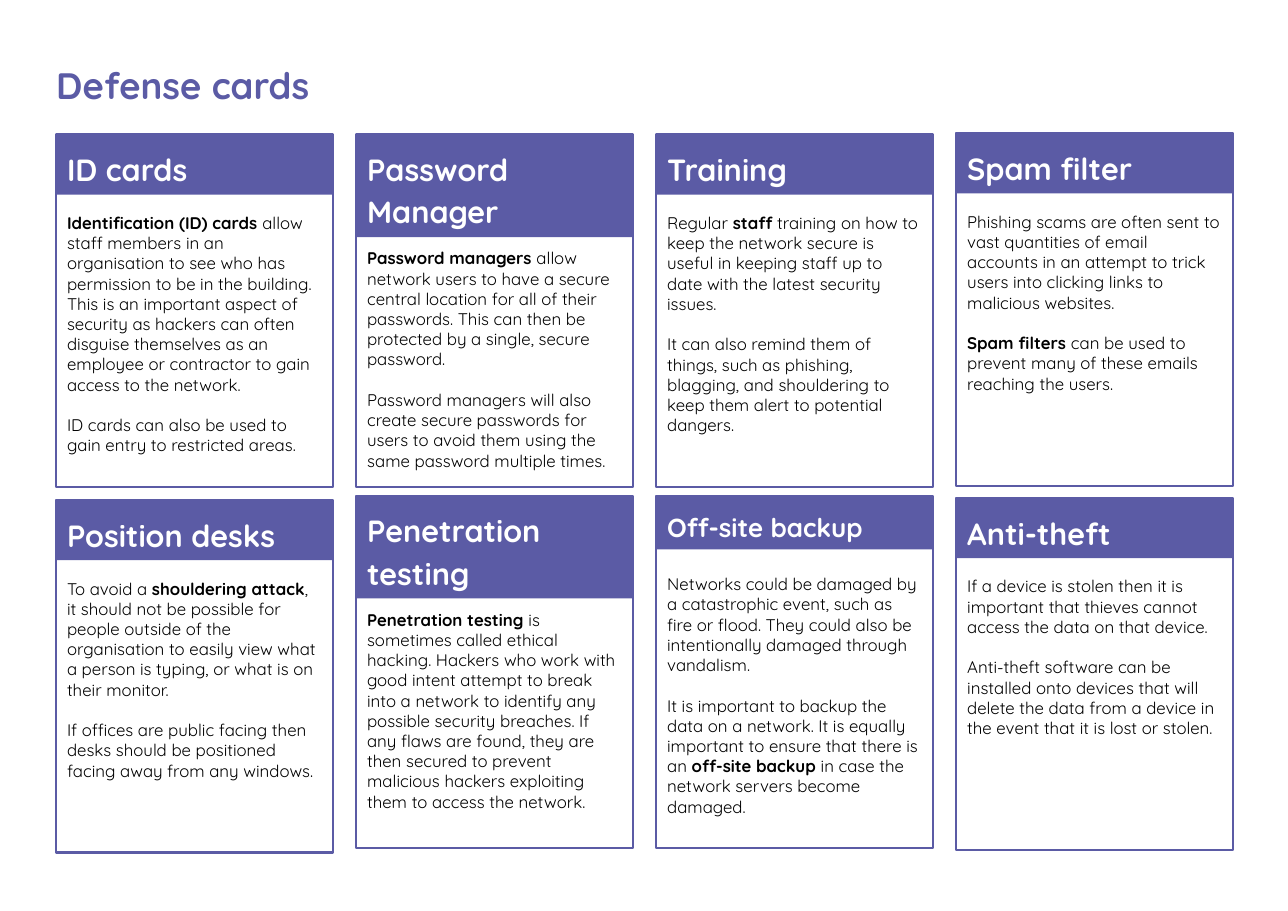
from dataclasses import dataclass

from pptx import Presentation
from pptx.dml.color import RGBColor
from pptx.enum.shapes import MSO_SHAPE
from pptx.enum.text import MSO_ANCHOR, MSO_AUTO_SIZE, PP_ALIGN
from pptx.util import Inches, Pt

PURPLE = RGBColor(0x5B, 0x5B, 0xA5)
WHITE = RGBColor(0xFF, 0xFF, 0xFF)
BLACK = RGBColor(0x00, 0x00, 0x00)
FONT = "Quicksand"

SLIDE_WIDTH, SLIDE_HEIGHT = 11.69, 8.27
GRID_LEFT, GRID_RIGHT, COLUMNS = 0.51, 11.19, 4
CARD_WIDTH, CARD_HEIGHT = 2.51, 3.2
COLUMN_PITCH = (GRID_RIGHT - GRID_LEFT - CARD_WIDTH) / (COLUMNS - 1)
INSET = 0.1
BODY_SIZE = 11
BODY_LINE = 0.185  # height of one body line, in inches
BODY_OFFSET = 0.61


@dataclass
class Card:
    """Body text marks bold with **; body_lines counts its lines as set."""
    top: float
    heading: str
    body_lines: int
    body: list
    heading_size: int = 20


CARDS = [
    Card(1.22, "ID cards", 12, [
        "**Identification (ID) cards** allow staff members in an organisation to see who has "
        "permission to be in the building. This is an important aspect of security as hackers "
        "can often disguise themselves as an employee or contractor to gain access to the network.",
        "ID cards can also be used to gain entry to restricted areas."]),
    Card(1.22, "Password\nManager", 11, [
        "**Password managers** allow network users to have a secure central location for all of "
        "their passwords. This can then be protected by a single, secure password.",
        "Password managers will also create secure passwords for users to avoid them using the "
        "same password multiple times."]),
    Card(1.22, "Training", 11, [
        "Regular **staff** training on how to keep the network secure is useful in keeping staff "
        "up to date with the latest security issues.",
        "It can also remind them of things, such as phishing, blagging, and shouldering to keep "
        "them alert to potential dangers."]),
    Card(1.21, "Spam filter", 9, [
        "Phishing scams are often sent to vast quantities of email accounts in an attempt to "
        "trick users into clicking links to malicious websites.",
        "**Spam filters **can be used to prevent many of these emails reaching the users."]),
    Card(4.54, "Position desks", 10, [
        "To avoid a **shouldering attack**, it should not be possible for people outside of the "
        "organisation to easily view what a person is typing, or what is on their monitor.",
        "If offices are public facing then desks should be positioned facing away from any "
        "windows."]),
    Card(4.5, "Penetration\ntesting", 10, [
        "**Penetration testing** is sometimes called ethical hacking. Hackers who work with good "
        "intent attempt to break into a network to identify any possible security breaches. If "
        "any flaws are found, they are then secured to prevent malicious hackers exploiting them "
        "to access the network."]),
    Card(4.5, "Off-site backup", 12, [
        "Networks could be damaged by a catastrophic event, such as fire or flood. They could "
        "also be intentionally damaged through vandalism.",
        "It is important to backup the data on a network. It is equally important to ensure that "
        "there is an **off-site backup** in case the network servers become damaged."],
        heading_size=17),
    Card(4.52, "Anti-theft", 8, [
        "If a device is stolen then it is important that thieves cannot access the data on that "
        "device.",
        "Anti-theft software can be installed onto devices that will delete the data from a "
        "device in the event that it is lost or stolen."]),
]


def prepare_frame(shape):
    frame = shape.text_frame
    frame.word_wrap = True
    frame.auto_size = MSO_AUTO_SIZE.SHAPE_TO_FIT_TEXT
    frame.vertical_anchor = MSO_ANCHOR.TOP
    frame.margin_left = frame.margin_right = Inches(INSET)
    frame.margin_top = frame.margin_bottom = Inches(INSET)
    return frame


def add_run(paragraph, text, size, color, bold):
    run = paragraph.add_run()
    run.text = text
    run.font.name = FONT
    run.font.size = Pt(size)
    run.font.bold = bold
    run.font.color.rgb = color


def write_heading(shape, text, size, color):
    paragraph = prepare_frame(shape).paragraphs[0]
    paragraph.alignment = PP_ALIGN.LEFT
    paragraph.line_spacing = 1.15
    paragraph.space_before = Pt(0)
    for index, line in enumerate(text.split("\n")):
        if index:
            paragraph.add_line_break()
        add_run(paragraph, line, size, color, True)


def write_body(shape, texts):
    frame = prepare_frame(shape)
    for index, text in enumerate(texts):
        paragraph = frame.add_paragraph() if index else frame.paragraphs[0]
        if index:
            paragraph.space_before = Inches(BODY_LINE)
        for part, words in enumerate(text.split("**")):
            if words:
                add_run(paragraph, words, BODY_SIZE, BLACK, part % 2 == 1)


def add_rectangle(slide, left, top, width, height):
    shape = slide.shapes.add_shape(
        MSO_SHAPE.RECTANGLE, Inches(left), Inches(top), Inches(width), Inches(height))
    shape.shadow.inherit = False
    return shape


def add_title(slide, left, top, width, height):
    title = slide.shapes.title
    title.left, title.top = Inches(left), Inches(top)
    title.width, title.height = Inches(width), Inches(height)
    write_heading(title, "Defense cards", 24, PURPLE)


def add_card(slide, card, left, top, width, height):
    border = add_rectangle(slide, left, top, width, height)
    border.fill.background()
    border.line.color.rgb = PURPLE
    border.line.width = Pt(1.5)

    heading_lines = card.heading.count("\n") + 1
    header_height = 0.16 + heading_lines * card.heading_size * 0.0193
    header = add_rectangle(slide, left, top, width, header_height)
    header.fill.solid()
    header.fill.fore_color.rgb = PURPLE
    header.line.fill.background()
    write_heading(header, card.heading, card.heading_size, WHITE)

    body_top = top + max(header_height, BODY_OFFSET)
    body_height = 2 * INSET + card.body_lines * BODY_LINE
    body = slide.shapes.add_textbox(
        Inches(left), Inches(body_top), Inches(width), Inches(body_height))
    write_body(body, card.body)


def main():
    presentation = Presentation()
    presentation.slide_width = Inches(SLIDE_WIDTH)
    presentation.slide_height = Inches(SLIDE_HEIGHT)
    title_only = presentation.slide_layouts.get_by_name("Title Only")
    slide = presentation.slides.add_slide(title_only)

    add_title(slide, 0.41, 0.41, 3.28, 0.61)
    for index, card in enumerate(CARDS):
        left = GRID_LEFT + index % COLUMNS * COLUMN_PITCH
        add_card(slide, card, left, card.top, CARD_WIDTH, CARD_HEIGHT)
    presentation.save("out.pptx")


if __name__ == "__main__":
    main()
